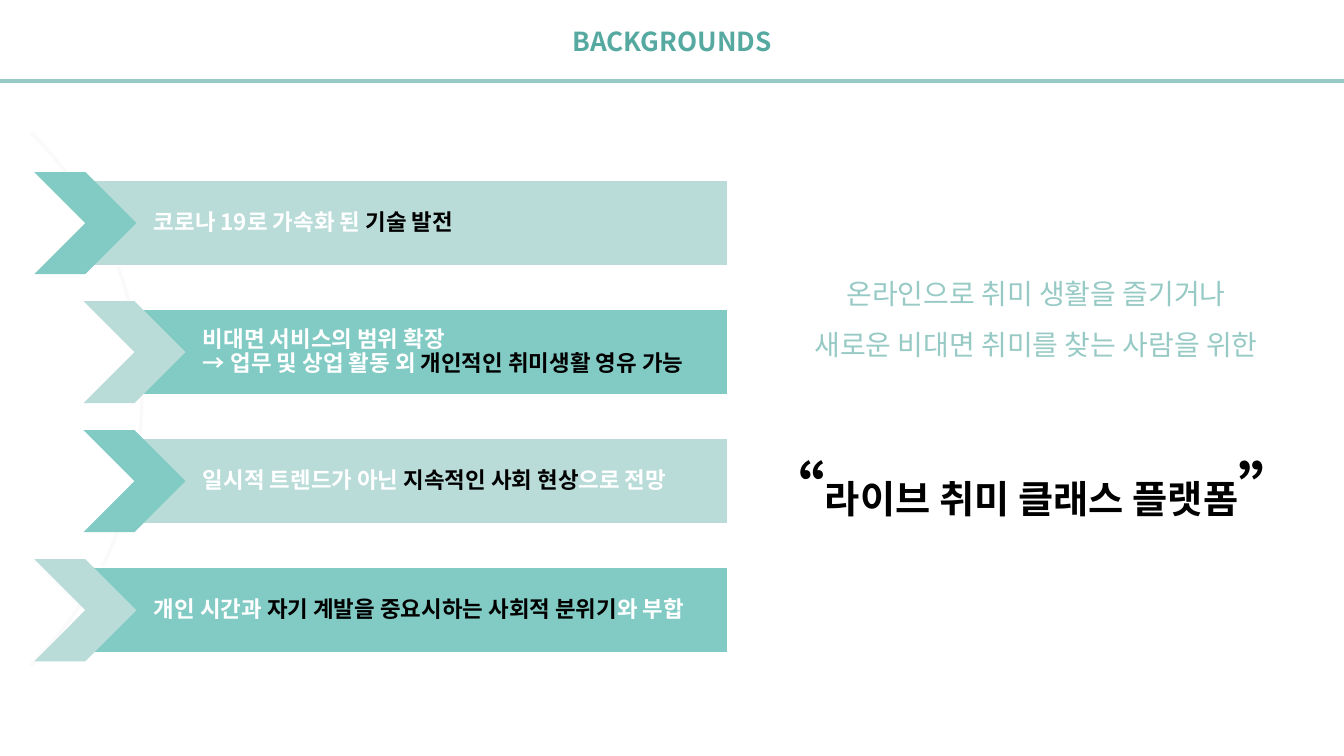
from pptx import Presentation
from pptx.dml.color import RGBColor
from pptx.enum.shapes import MSO_CONNECTOR as Link, MSO_SHAPE as Shape
from pptx.enum.text import MSO_ANCHOR as Anchor, MSO_AUTO_SIZE as Fit, PP_ALIGN as Align
from pptx.oxml.ns import qn
from pptx.util import Inches, Pt
from lxml.etree import SubElement

FONT = "Noto Sans CJK KR"
WHITE = RGBColor(0xFF, 0xFF, 0xFF)
BLACK = RGBColor(0x00, 0x00, 0x00)
PALE = RGBColor(0xB9, 0xDC, 0xD9)
MINT = RGBColor(0x82, 0xCB, 0xC4)
SOFT = RGBColor(0x97, 0xCA, 0xC5)
TEAL = RGBColor(0x56, 0xA9, 0xA0)
MIST = RGBColor(0xFA, 0xFA, 0xFA)

# indent of the row, then text parts in white and black by turns
ROWS = [
    (0, ["코로나 19로 가속화 된 ", "기술 발전"]),
    (0.73, ["비대면 서비스의 범위 확장 \n→ 업무 및 상업 활동 외 ",
            "개인적인 취미생활 영유 가능"]),
    (0.73, ["일시적 트렌드가 아닌 ", "지속적인 사회 현상", "으로 전망"]),
    (0, ["개인 시간과 ", "자기 계발을 중요시하는 사회적 분위기", "와 부합"]),
]
PITCH = 1.92
LEAD = ["온라인으로 취미 생활을 즐기거나", "새로운 비대면 취미를 찾는 사람을 위한"]
QUOTE = [("“", 66), ("라이브 취미 클래스 플랫폼", 41), ("”", 66), (" ", 41)]


def apply(item, **form):
    for key, value in form.items():
        setattr(item, key, value)


def add_run(para, text, size, color, bold=True):
    """Add a run whose font covers both Latin and Korean letters."""
    run = para.add_run()
    run.text = text
    apply(run.font, name=FONT, size=Pt(size), bold=bold)
    run.font.color.rgb = color
    SubElement(run.font._element, qn("a:ea"), typeface=FONT)


def add_shape(slide, kind, box, fill, line=None):
    shape = slide.shapes.add_shape(kind, *map(Inches, box))
    shape.shadow.inherit = False
    shape.fill.solid()
    shape.fill.fore_color.rgb = fill
    if line is None:
        shape.line.fill.background()
    else:
        shape.line.color.rgb = line
        shape.line.width = Pt(2)
    return shape


def add_header(slide, left, top, width, height):
    title = slide.shapes.title
    apply(title, left=Inches(left), top=Inches(top),
          width=Inches(width), height=Inches(height))
    frame = title.text_frame
    apply(frame, vertical_anchor=Anchor.TOP, word_wrap=True, auto_size=Fit.SHAPE_TO_FIT_TEXT)
    para = frame.paragraphs[0]
    para.alignment = Align.CENTER
    add_run(para, "BACKGROUNDS", 28, TEAL)

    y = Inches(top + 0.88)
    rule = slide.shapes.add_connector(Link.STRAIGHT, Inches(left), y, Inches(left + width), y)
    rule.line.color.rgb = SOFT
    rule.line.width = Pt(4.5)
    SubElement(rule._element.spPr, qn("a:effectLst"))


def add_arc(slide, *box):
    arc = add_shape(slide, Shape.BLOCK_ARC, box, PALE, MIST)
    for i, value in enumerate([189, 27, 0.002]):
        arc.adjustments[i] = value


def add_row(slide, left, top, width, height, parts, fills):
    """Place a bar with its text and a chevron over the bar's left end."""
    bar = add_shape(slide, Shape.RECTANGLE, (left, top, width, height), fills[0], WHITE)
    frame = bar.text_frame
    pad = Inches(0.07)
    apply(frame, word_wrap=True, vertical_anchor=Anchor.MIDDLE, margin_left=Inches(1.02),
          margin_right=pad, margin_top=pad, margin_bottom=pad)
    para = frame.paragraphs[0]
    apply(para, alignment=Align.LEFT, line_spacing=0.9)
    for i, part in enumerate(parts):
        for n, text in enumerate(part.split("\n")):
            if n:
                para.add_line_break()
            add_run(para, text, 24, (WHITE, BLACK)[i % 2])
    side = height + 0.24
    add_shape(slide, Shape.CHEVRON, (left - side / 2, top - 0.12, side, side), fills[1])


def add_rows(slide, left, top, width, height):
    for i, (indent, parts) in enumerate(ROWS):
        fills = (MINT, PALE) if i % 2 else (PALE, MINT)
        add_row(slide, left + indent, top + i * PITCH, width - indent, height, parts, fills)


def add_claim(slide, *box):
    frame = slide.shapes.add_textbox(*map(Inches, box)).text_frame
    apply(frame, word_wrap=True, auto_size=Fit.SHAPE_TO_FIT_TEXT)
    para = frame.paragraphs[0]
    add_run(para, LEAD[0], 30, SOFT, False)
    add_run(frame.add_paragraph(), LEAD[1], 30, SOFT, False)
    last = frame.add_paragraph()
    last.space_before = Pt(58)
    for text, size in QUOTE:
        add_run(last, text, size, BLACK)
    for para in frame.paragraphs:
        apply(para, alignment=Align.CENTER, line_spacing=1.5)


def main():
    deck = Presentation()
    apply(deck, slide_width=Inches(20), slide_height=Inches(11.25))
    slide = deck.slides.add_slide(deck.slide_layouts[5])
    add_header(slide, 0, 0.33, 20, 0.57)
    add_arc(slide, -9.09, 0.33, 11.21, 11.21)
    add_rows(slide, 1.27, 2.68, 9.57, 1.28)
    add_claim(slide, 11.17, 3.82, 8.5, 3.9)
    deck.save("out.pptx")


if __name__ == "__main__":
    main()
